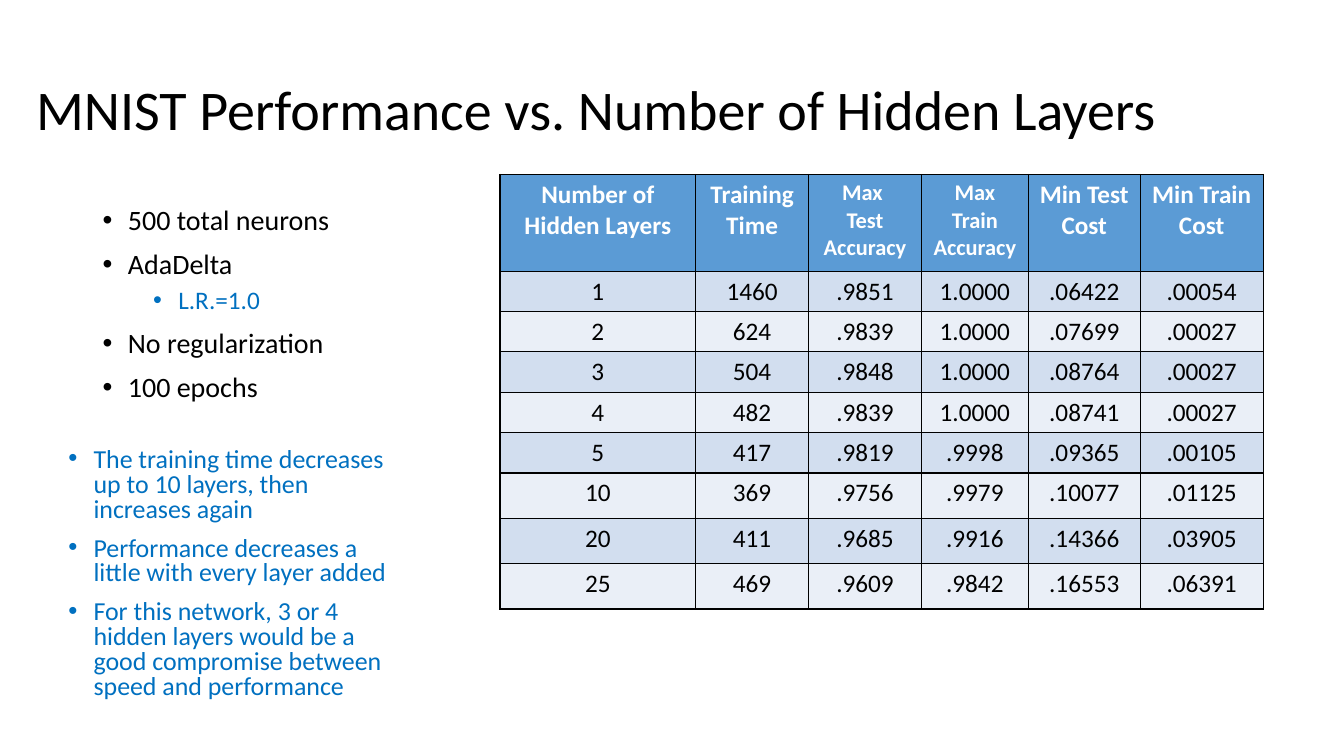
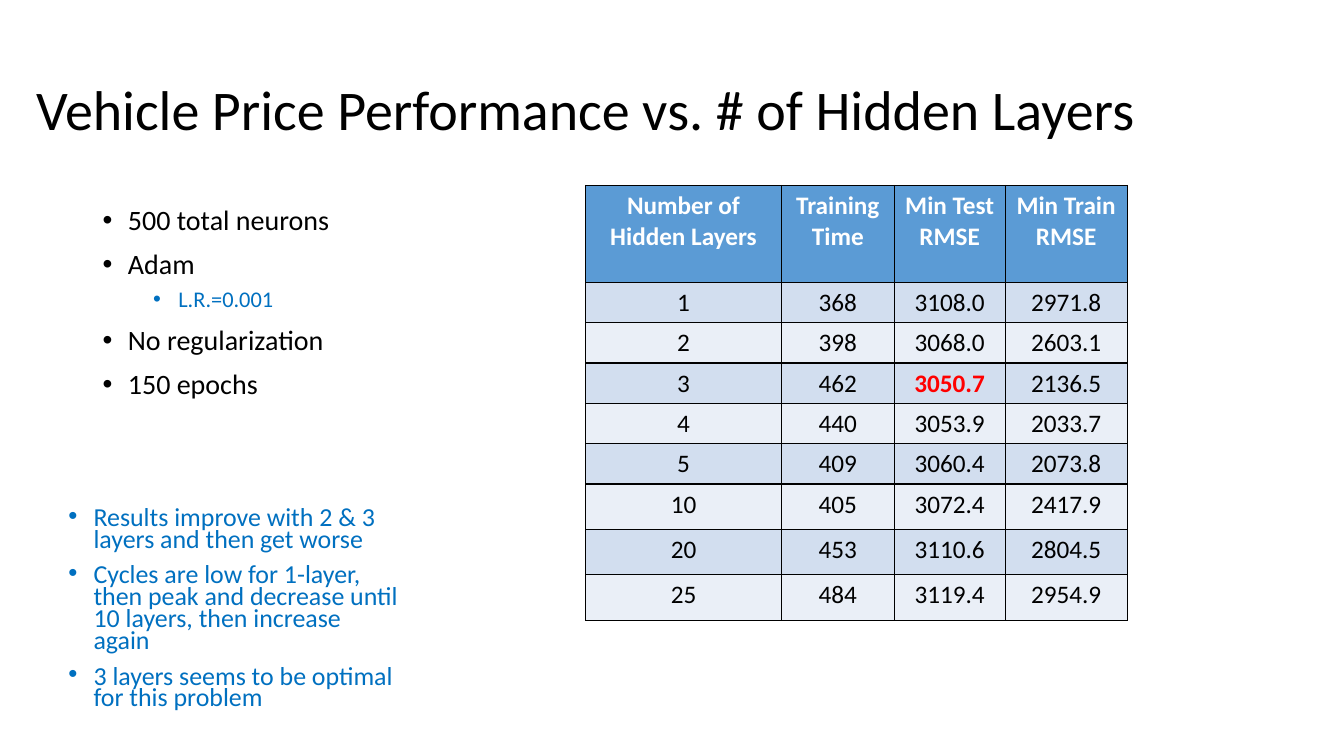
from dataclasses import dataclass

from lxml.etree import SubElement
from pptx import Presentation
from pptx.dml.color import RGBColor
from pptx.enum.text import MSO_ANCHOR, PP_ALIGN
from pptx.oxml.ns import qn
from pptx.util import Inches, Pt


@dataclass(frozen=True)
class Theme:
    font: str = "Calibri"
    black: str = "000000"
    white: str = "FFFFFF"
    blue: str = "0070C0"
    red: str = "FF0000"
    head: str = "5B9BD5"
    bands: tuple = ("D2DEEF", "EAEFF7")
    title: float = 40
    body: float = 20
    note: float = 18.5
    cell: float = 18
    small: float = 16
    rule: float = 1


THEME = Theme()
TITLE_BOX = (0.26, 0.39, 11.5, 1.45)
SETUP_BOX = (0.92, 2, 3.39, 2.24)
ROWS = (0.96, 0.28, 0.33, 0.37, 0.37, 0.39, 0.45, 0.45, 0.45)


def add_run(para, text, size, color, bold=False):
    for i, part in enumerate(text.split("\n")):
        if i:
            para.add_line_break()
        run = para.add_run()
        run.text = part
        font = run.font
        font.name = THEME.font
        font.size = Pt(size)
        font.bold = bold
        font.color.rgb = RGBColor.from_string(color)


def add_frame(slide, box):
    frame = slide.shapes.add_textbox(*map(Inches, box)).text_frame
    frame.word_wrap = True
    return frame


def add_title(slide, box, text):
    frame = add_frame(slide, box)
    frame.vertical_anchor = MSO_ANCHOR.MIDDLE
    para = frame.paragraphs[0]
    para.line_spacing = 0.9
    add_run(para, text, THEME.title, THEME.black)


def add_list(slide, box, items, pitch):
    frame = add_frame(slide, box)
    for i, (text, level, size, color) in enumerate(items):
        para = frame.add_paragraph() if i else frame.paragraphs[0]
        para.level = level
        props = para._p.get_or_add_pPr()
        props.set("marL", str(Inches(0.25 + 0.5 * level)))
        props.set("indent", str(Inches(-0.25)))
        SubElement(props, qn("a:buFont")).set("typeface", "Arial")
        SubElement(props, qn("a:buChar")).set("char", "•")
        para.line_spacing = pitch
        if i:
            para.space_before = Pt(5 if level else 10)
        add_run(para, text, size, color)


def add_setup(slide, box, solver, rate, size, epochs):
    main = (0, THEME.body, THEME.black)
    items = [
        ("500 total neurons", *main),
        (solver, *main),
        (rate, 1, size, THEME.blue),
        ("No regularization", *main),
        (epochs, *main),
    ]
    add_list(slide, box, items, 0.9)


def add_notes(slide, box, notes, pitch):
    items = [(text, 0, THEME.note, THEME.blue) for text in notes]
    add_list(slide, box, items, pitch)


def add_edges(cell):
    props = cell._tc.get_or_add_tcPr()
    for side in ("lnL", "lnR", "lnT", "lnB"):
        line = SubElement(props, qn(f"a:{side}"), w=str(Pt(THEME.rule)))
        fill = SubElement(line, qn("a:solidFill"))
        SubElement(fill, qn("a:srgbClr"), val=THEME.black)


def fill_cell(cell, text, fill, size, color, bold):
    add_edges(cell)
    cell.fill.solid()
    cell.fill.fore_color.rgb = RGBColor.from_string(fill)
    para = cell.text_frame.paragraphs[0]
    para.alignment = PP_ALIGN.CENTER
    add_run(para, text, size, color, bold)


def add_grid(slide, spot, widths, heads, data, best=None):
    box = (*spot, sum(widths), sum(ROWS))
    grid = slide.shapes.add_table(len(ROWS), len(widths), *map(Inches, box)).table
    grid.first_row = grid.horz_banding = False
    for col, width in zip(grid.columns, widths):
        col.width = Inches(width)
    for row, height in zip(grid.rows, ROWS):
        row.height = Inches(height)
    for c, text in enumerate(heads):
        size = THEME.small if "Accuracy" in text else THEME.cell
        fill_cell(grid.cell(0, c), text, THEME.head, size, THEME.white, True)
    for r, line in enumerate(data):
        for c, text in enumerate(line.split()):
            top = text == best
            color = THEME.red if top else THEME.black
            fill_cell(grid.cell(r + 1, c), text, THEME.bands[r % 2],
                      THEME.cell, color, top)


def add_page(deck, title, setup, grid, note_box, notes, pitch):
    slide = deck.slides.add_slide(deck.slide_layouts[6])
    add_title(slide, TITLE_BOX, title)
    add_grid(slide, **grid)
    add_setup(slide, SETUP_BOX, *setup)
    add_notes(slide, note_box, notes, pitch)


DIGITS = dict(
    spot=(4.96, 1.73),
    widths=(1.94, 1.12, 1.12, 1.06, 1.11, 1.22),
    heads=("Number of Hidden Layers", "Training Time", "Max \nTest Accuracy",
           "Max Train Accuracy", "Min Test Cost", "Min Train Cost"),
    data=(
        "1 1460 .9851 1.0000 .06422 .00054",
        "2 624 .9839 1.0000 .07699 .00027",
        "3 504 .9848 1.0000 .08764 .00027",
        "4 482 .9839 1.0000 .08741 .00027",
        "5 417 .9819 .9998 .09365 .00105",
        "10 369 .9756 .9979 .10077 .01125",
        "20 411 .9685 .9916 .14366 .03905",
        "25 469 .9609 .9842 .16553 .06391",
    ),
)

PRICES = dict(
    spot=(5.81, 1.84),
    widths=(1.94, 1.12, 1.1, 1.21),
    heads=("Number of Hidden Layers", "Training Time",
           "Min Test RMSE", "Min Train RMSE"),
    data=(
        "1 368 3108.0 2971.8",
        "2 398 3068.0 2603.1",
        "3 462 3050.7 2136.5",
        "4 440 3053.9 2033.7",
        "5 409 3060.4 2073.8",
        "10 405 3072.4 2417.9",
        "20 453 3110.6 2804.5",
        "25 484 3119.4 2954.9",
    ),
    best="3050.7",
)


def main():
    deck = Presentation()
    deck.slide_width = Inches(13.33)
    deck.slide_height = Inches(7.5)
    add_page(
        deck,
        "MNIST Performance vs. Number of Hidden Layers",
        ("AdaDelta", "L.R.=1.0", THEME.cell, "100 epochs"),
        DIGITS,
        (0.58, 4.4, 3.5, 2.88),
        ("The training time decreases up to 10 layers, then increases again",
         "Performance decreases a little with every layer added",
         "For this network, 3 or 4 hidden layers would be a good compromise "
         "between speed and performance"),
        0.8,
    )
    add_page(
        deck,
        "Vehicle Price Performance vs. # of Hidden Layers",
        ("Adam", "L.R.=0.001", THEME.small, "150 epochs"),
        PRICES,
        (0.58, 5, 3.5, 2.27),
        ("Results improve with 2 & 3 layers and then get worse",
         "Cycles are low for 1-layer, then peak and decrease until 10 layers, "
         "then increase again",
         "3 layers seems to be optimal for this problem"),
        0.7,
    )
    deck.save("out.pptx")


if __name__ == "__main__":
    main()
